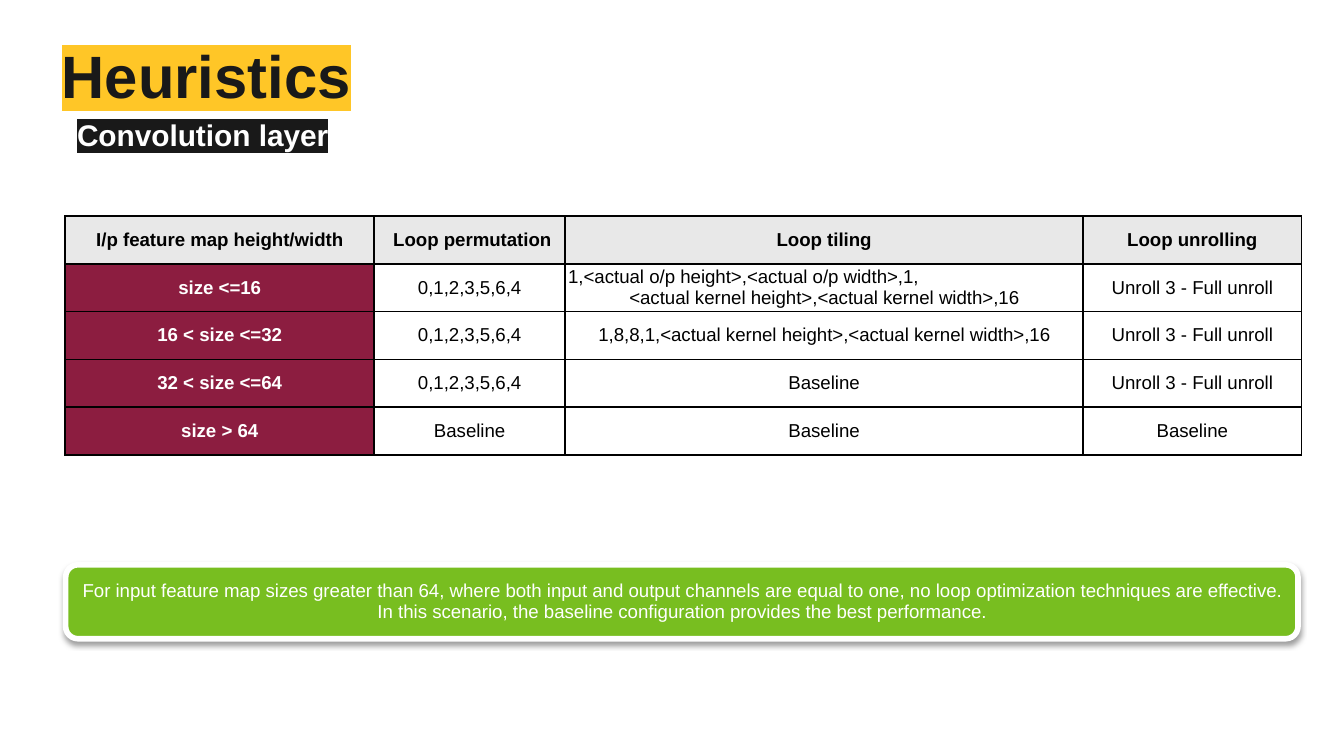
"""Build the slide on loop heuristics for the convolution layer."""
from lxml import etree
from pptx import Presentation
from pptx.dml.color import RGBColor
from pptx.enum.shapes import MSO_SHAPE
from pptx.enum.text import MSO_ANCHOR, PP_ALIGN
from pptx.oxml import parse_xml
from pptx.oxml.ns import qn
from pptx.util import Pt

LEFT, MID = PP_ALIGN.LEFT, PP_ALIGN.CENTER
TOP, MIDDLE = MSO_ANCHOR.TOP, MSO_ANCHOR.MIDDLE
ROUND = MSO_SHAPE.ROUNDED_RECTANGLE
NS = 'xmlns:a="http://schemas.openxmlformats.org/drawingml/2006/main"'

HUES = {"ink": "191919", "gold": "FFC627", "white": "FFFFFF", "black": "000000",
        "gray": "E8E8E8", "maroon": "8C1D40", "green": "78BE20"}

HEADS = [
    {"text": "Heuristics", "box": (33.1, 25.2, 662.4, 34.6), "size": 32,
     "hue": "ink", "mark": "gold", "space": 0.9, "shift": 0},
    {"text": "Convolution layer", "box": (33.1, 59.6, 660.2, 22.3), "size": 16,
     "hue": "white", "mark": "ink", "space": 1.15, "shift": 8.2},
]
FULL = "Unroll 3 - Full unroll"
ORDER = "0,1,2,3,5,6,4"
ROWS = [
    ["I/p feature map height/width", " Loop permutation", "Loop tiling", "Loop unrolling"],
    ["size <=16", ORDER, "1,<actual o/p height>,<actual o/p width>,1,\n"
     "<actual kernel height>,<actual kernel width>,16", FULL],
    ["16 < size <=32", ORDER, "1,8,8,1,<actual kernel height>,<actual kernel width>,16", FULL],
    ["32 < size <=64", ORDER, "Baseline", FULL],
    ["size > 64", "Baseline", "Baseline", "Baseline"],
]
WIDTHS = [165.6, 102.2, 277.6, 116.9]
GRID = (34.9, 115.7)
HIGH = 25.6
NOTE = ("For input feature map sizes greater than 64, where both input and output "
        "channels are equal to one, no loop optimization techniques are effective. "
        "In this scenario, the baseline configuration provides the best performance.")
NOTE_BOX = (35.2, 302.6, 660.2, 39.6)


def color(name):
    return RGBColor.from_string(HUES[name])


def apply(item, vals):
    for key, val in vals.items():
        setattr(item, key, val)


def inset(item, wide, high):
    apply(item, {"margin_left": Pt(wide), "margin_right": Pt(wide),
                 "margin_top": Pt(high), "margin_bottom": Pt(high)})


def frame(body, pad, anchor):
    inset(body, pad, pad)
    apply(body, {"word_wrap": True, "vertical_anchor": anchor})


def write(para, text, size, hue, bold=False, align=LEFT, space=1.0):
    apply(para, {"alignment": align, "line_spacing": space})
    run = para.add_run()
    run.text = text
    apply(run.font, {"name": "Arial", "size": Pt(size), "bold": bold})
    run.font.color.rgb = color(hue)
    return run


def head(slide, part):
    body = slide.shapes.add_textbox(*map(Pt, part["box"])).text_frame
    frame(body, 0, TOP)
    para = body.paragraphs[0]
    run = write(para, part["text"], part["size"], part["hue"], True, space=part["space"])
    para._p.get_or_add_pPr().set("marL", str(Pt(part["shift"])))
    mark = parse_xml(f'<a:highlight {NS}><a:srgbClr val="{HUES[part["mark"]]}"/></a:highlight>')
    run._r.rPr.find(qn("a:solidFill")).addnext(mark)


def edge(cell):
    props = cell._tc.get_or_add_tcPr()
    for side in ("lnL", "lnR", "lnT", "lnB"):
        line = etree.SubElement(props, qn(f"a:{side}"), w=str(Pt(1)))
        fill = etree.SubElement(line, qn("a:solidFill"))
        etree.SubElement(fill, qn("a:srgbClr"), val=HUES["black"])


def fill_cell(cell, text, row, col):
    side = row > 0 and col == 0
    edge(cell)
    if row == 0 or side:
        cell.fill.solid()
        cell.fill.fore_color.rgb = color("maroon" if side else "gray")
    else:
        cell.fill.background()
    lines = text.split("\n")
    if len(lines) > 1:
        inset(cell, 1.7, 0)
    else:
        inset(cell, 7.2, 6)
    cell.vertical_anchor = MIDDLE
    for num, line in enumerate(lines):
        para = cell.text_frame.add_paragraph() if num else cell.text_frame.paragraphs[0]
        align = MID if num == len(lines) - 1 else LEFT
        write(para, line, 10, "white" if side else "black", row == 0 or side, align)


def grid(slide):
    size = (sum(WIDTHS), HIGH * len(ROWS))
    table = slide.shapes.add_table(len(ROWS), len(WIDTHS), *map(Pt, GRID + size)).table
    apply(table, {"first_row": False, "horz_banding": False})
    for col, width in zip(table.columns, WIDTHS):
        col.width = Pt(width)
    for row, texts in enumerate(ROWS):
        table.rows[row].height = Pt(HIGH)
        for col, text in enumerate(texts):
            fill_cell(table.cell(row, col), text, row, col)


def banner(slide):
    shape = slide.shapes.add_shape(ROUND, *map(Pt, NOTE_BOX))
    shape.shadow.inherit = False
    shape.fill.solid()
    shape.fill.fore_color.rgb = color("green")
    shape.line.color.rgb = color("white")
    shape.line.width = Pt(3)
    shade = parse_xml(
        f'<a:outerShdw {NS} blurRad="{Pt(3.1)}" dist="{Pt(1.6)}" dir="5400000" rotWithShape="0">'
        f'<a:srgbClr val="{HUES["black"]}"><a:alpha val="38000"/></a:srgbClr></a:outerShdw>')
    shape._element.spPr.find(qn("a:effectLst")).append(shade)
    frame(shape.text_frame, 2.7, MIDDLE)
    write(shape.text_frame.paragraphs[0], NOTE, 10, "white", align=MID, space=0.95)


def main():
    deck = Presentation()
    apply(deck, {"slide_width": Pt(720), "slide_height": Pt(405)})
    slide = deck.slides.add_slide(deck.slide_layouts[6])
    for part in HEADS:
        head(slide, part)
    grid(slide)
    banner(slide)
    deck.save("out.pptx")


if __name__ == "__main__":
    main()
